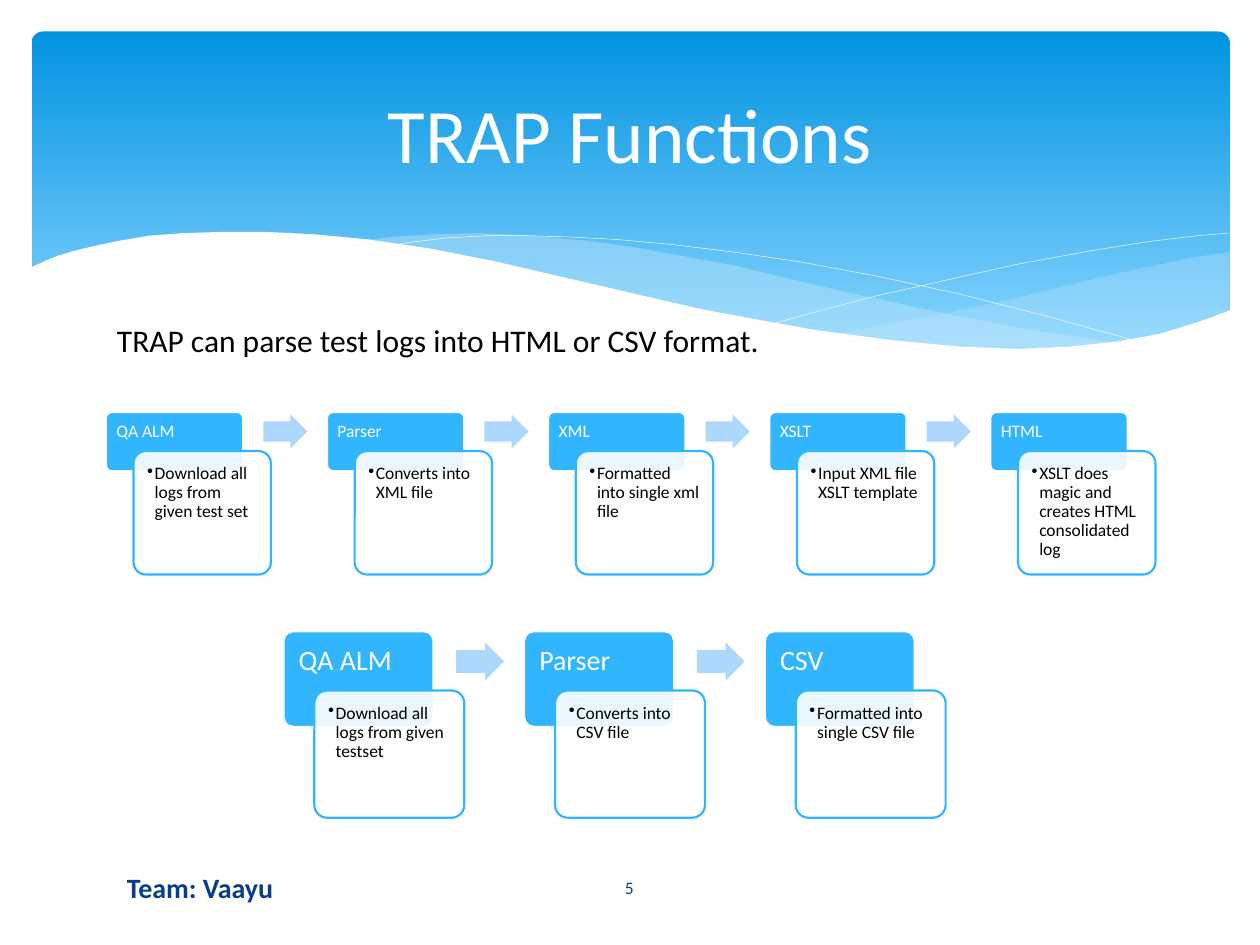
from lxml import etree
from pptx import Presentation
from pptx.dml.color import RGBColor
from pptx.enum.shapes import MSO_SHAPE
from pptx.enum.text import MSO_ANCHOR, PP_ALIGN
from pptx.oxml.ns import qn
from pptx.util import Inches, Pt

ROUND_RECT, ARROW = MSO_SHAPE.ROUNDED_RECTANGLE, MSO_SHAPE.RIGHT_ARROW
TOP, MIDDLE = MSO_ANCHOR.TOP, MSO_ANCHOR.MIDDLE
LEFT, CENTER = PP_ALIGN.LEFT, PP_ALIGN.CENTER

WHITE = RGBColor(0xFF, 0xFF, 0xFF)
BLACK = RGBColor(0x00, 0x00, 0x00)
NAVY = RGBColor(0x07, 0x3E, 0x87)
SKY = RGBColor(0x31, 0xB6, 0xFD)
PALE = RGBColor(0xAE, 0xD7, 0xFE)
MIST = RGBColor(0xC6, 0xE7, 0xFC)
BANNER_TOP = RGBColor(0x02, 0x93, 0xE0)
BANNER_END = RGBColor(0x83, 0xD3, 0xFE)

UNIT = Inches(0.1)  # the slide is a grid of 100 columns and 75 rows


def cells(*lengths):
    """Turn columns and rows of the grid into slide lengths."""
    return [round(n * UNIT) for n in lengths]


def write(sp, text, size, color, align=LEFT, anchor=TOP, inset=None):
    tf = sp.text_frame
    tf.word_wrap = True
    tf.vertical_anchor = anchor
    if inset is not None:
        tf.margin_left = tf.margin_right = tf.margin_top = Inches(inset)
        tf.margin_bottom = Inches(0.04)
    p = tf.paragraphs[0]
    p.alignment = align
    r = p.add_run()
    r.text = text
    r.font.name = "Calibri"
    r.font.size = Pt(size)
    r.font.color.rgb = color
    return p


prs = Presentation()
prs.slide_width, prs.slide_height = cells(100, 75)
s = prs.slides.add_slide(prs.slide_layouts[5])

# Banner
sp = s.shapes.add_shape(ROUND_RECT, *cells(2.5, 2.5, 95.1, 27))
sp.adjustments[0] = 0.034
sp.shadow.inherit = False
sp.line.fill.background()
sp.fill.gradient()
sp.fill.gradient_angle = 270
for stop, color, position in zip(sp.fill.gradient_stops, (BANNER_TOP, BANNER_END), (0, 0.9)):
    stop.color.rgb = color
    stop.position = position

# Waves: points in tenths of a grid cell, fill, opacity in percent (no fill: a thin line)
waves = [
    ([(976, 200), (948, 204), (921, 210), (891, 216), (861, 223), (805, 237), (753, 248),
      (706, 257), (661, 265), (691, 269), (719, 272), (745, 275), (781, 277), (824, 277),
      (863, 275), (897, 270), (928, 263), (949, 257), (976, 247)], MIST, 29),
    ([(893, 273), (866, 269), (807, 260), (741, 247), (668, 231), (629, 222), (584, 211),
      (541, 203), (502, 196), (465, 191), (420, 187), (380, 185), (344, 186), (313, 188),
      (286, 191), (323, 196), (362, 203), (404, 211), (449, 222), (530, 240), (601, 255),
      (650, 264), (695, 270), (736, 275), (785, 278), (828, 278), (867, 276)], MIST, 40),
    ([(309, 195), (328, 192), (353, 189), (387, 187), (416, 187), (450, 188), (489, 190),
      (533, 194), (582, 200), (636, 208), (695, 219), (760, 233), (831, 251), (907, 272)],
     None, None),
    ([(613, 257), (653, 246), (695, 235), (748, 223), (806, 210), (866, 199), (910, 192),
      (951, 187), (975, 185)], None, None),
    ([(977, 246), (950, 256), (920, 265), (887, 271), (850, 275), (809, 277), (761, 275),
      (708, 270), (648, 262), (603, 254), (555, 245), (503, 233), (447, 220), (391, 207),
      (340, 197), (292, 190), (250, 186), (211, 184), (177, 184), (146, 185), (119, 187),
      (95, 191), (76, 195), (59, 199), (46, 203), (36, 207), (23, 213), (23, 329),
      (977, 329)], WHITE, 100),
]
for points, color, opacity in waves:
    builder = s.shapes.build_freeform(*points[0], scale=UNIT / 10)
    builder.add_line_segments(points[1:], close=color is not None)
    sp = builder.convert_to_shape()
    sp.shadow.inherit = False
    if color is None:
        sp.fill.background()
        sp.line.color.rgb = WHITE
        sp.line.width = Pt(0.25)
        continue
    sp.line.fill.background()
    sp.fill.solid()
    sp.fill.fore_color.rgb = color
    if opacity < 100:
        clr = sp.fill._xPr.find(".//" + qn("a:srgbClr"))
        etree.SubElement(clr, qn("a:alpha"), val=str(opacity * 1000))

title = s.shapes.title
s.shapes._spTree.append(title._element)  # bring the title in front of the banner
title.left, title.top, title.width, title.height = cells(5, 3.7, 90, 13.7)
write(title, "TRAP Functions", 44, WHITE, CENTER, MIDDLE)

# Flows: left, top, pitch, head size, body offset, body size, arrow box, head text, steps
flows = [
    (22.5, 50.1, 19.1, (11.9, 7.6), (2.45, 4.7), (11.9, 10.1), (13.7, 0.9, 3.8, 3), 16, 0.1,
     [("QA ALM", "Download all logs from given testset"),
      ("Parser", "Converts into CSV file"),
      ("CSV", "Formatted into single CSV file")]),
    (8.4, 32.7, 17.55, (10.9, 4.7), (2.2, 3.1), (10.9, 9.8), (12.5, 0.2, 3.5, 2.7), 10, 0.07,
     [("QA ALM", "Download all logs from given test set"),
      ("Parser", "Converts into XML file"),
      ("XML", "Formatted into single xml file"),
      ("XSLT", "Input XML file XSLT template"),
      ("HTML", "XSLT does magic and creates HTML consolidated log")]),
]
for left, top, pitch, head, offset, body, arrow, size, inset, steps in flows:
    for i, (name, detail) in enumerate(steps):
        x = left + i * pitch
        cards = [(x, top, head, SKY, WHITE),
                 (x + offset[0], top + offset[1], body, WHITE, SKY)]
        for card_x, card_y, extent, fill, line in cards:
            sp = s.shapes.add_shape(ROUND_RECT, *cells(card_x, card_y, *extent))
            sp.adjustments[0] = 0.1
            sp.shadow.inherit = False
            sp.fill.solid()
            sp.fill.fore_color.rgb = fill
            sp.line.color.rgb = line
            sp.line.width = Pt(1.25)
            if fill == SKY:
                p = write(sp, name, size, WHITE, inset=inset)
            else:
                clr = sp.fill._xPr.find(qn("a:solidFill"))[0]
                etree.SubElement(clr, qn("a:alpha"), val="90000")
                p = write(sp, detail, 10, BLACK, inset=0.08)
                pPr = p._p.get_or_add_pPr()
                pPr.set("marL", str(Inches(0.06)))
                pPr.set("indent", str(-Inches(0.06)))
            p.line_spacing = 0.9
            if fill == WHITE:
                etree.SubElement(pPr, qn("a:buChar"), char="•")
        if i < len(steps) - 1:
            dx, dy, w, h = arrow
            sp = s.shapes.add_shape(ARROW, *cells(x + dx, top + dy, w, h))
            sp.adjustments[0], sp.adjustments[1] = 0.6, 0.5
            sp.shadow.inherit = False
            sp.fill.solid()
            sp.fill.fore_color.rgb = PALE
            sp.line.fill.background()

# Footer and lead sentence
number = s.shapes.add_textbox(*cells(43.6, 68.4, 12.7, 4))
write(number, "5", 10, NAVY, CENTER, MIDDLE)
team = s.shapes.add_textbox(*cells(9.1, 68.4, 30, 4))
write(team, "Team: Vaayu", 16, NAVY, anchor=MIDDLE).runs[0].font.bold = True
lead = s.shapes.add_textbox(*cells(8.3, 25, 55.8, 4))
write(lead, "TRAP can parse test logs into HTML or CSV format.", 18, BLACK)
lead.text_frame.word_wrap = False

prs.save("out.pptx")
